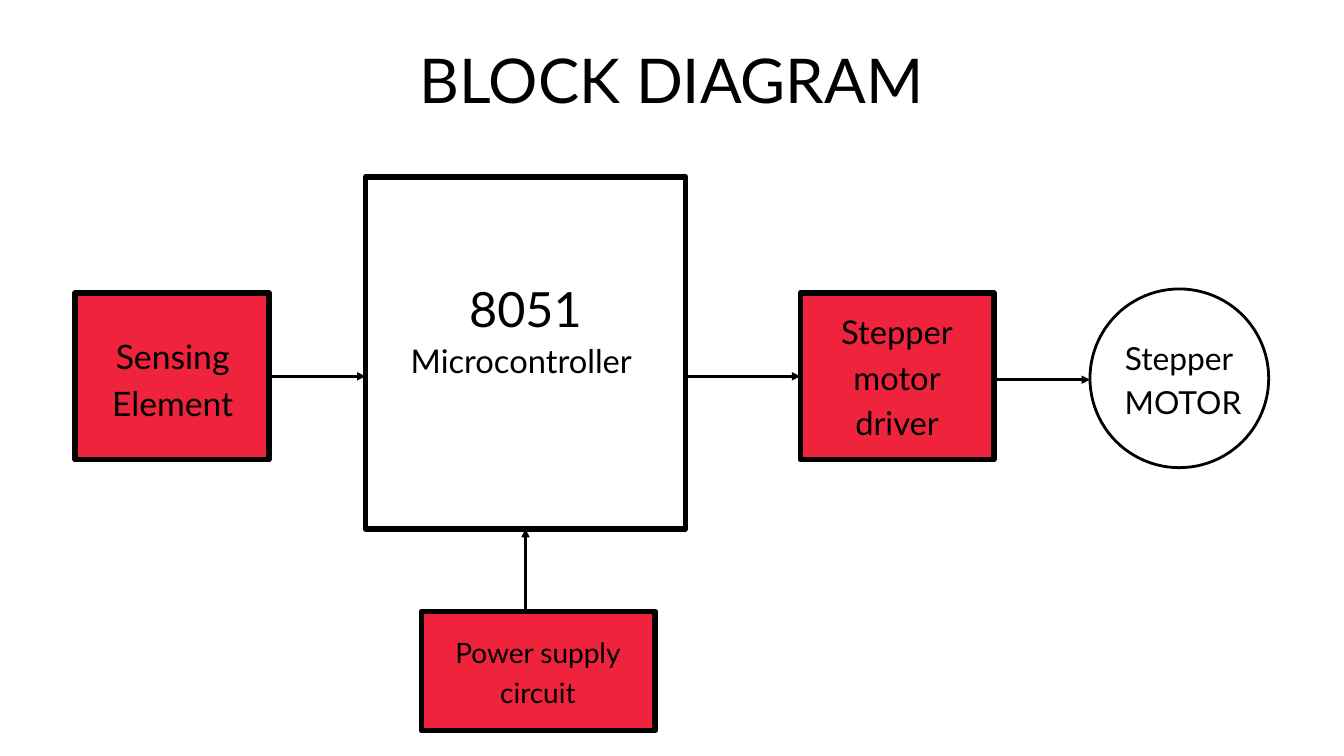
"""Builds the block diagram slide of a stepper motor run by a microcontroller."""
from lxml import etree
from pptx import Presentation
from pptx.dml.color import RGBColor
from pptx.enum import shapes as kinds, text
from pptx.oxml.ns import qn
from pptx.util import Inches, Pt

BLACK = RGBColor(0x00, 0x00, 0x00)
WHITE = RGBColor(0xFF, 0xFF, 0xFF)
RED = RGBColor(0xEF, 0x23, 0x3C)
FONT = "Lato"


def add_block(slide, left, top, width, height, fill,
              kind=kinds.MSO_SHAPE.RECTANGLE, outline=6):
    block = slide.shapes.add_shape(
        kind, Inches(left), Inches(top), Inches(width), Inches(height))
    block.shadow.inherit = False
    block.fill.solid()
    block.fill.fore_color.rgb = fill
    block.line.color.rgb = BLACK
    block.line.width = Pt(outline)
    return block


def add_arrow(slide, start, end, source=None, target=None):
    arrow = slide.shapes.add_connector(
        kinds.MSO_CONNECTOR.STRAIGHT, *map(Inches, start + end))
    if source:
        arrow.begin_connect(*source)
    if target:
        arrow.end_connect(*target)
    arrow.line.color.rgb = BLACK
    arrow.line.width = Pt(3)
    etree.SubElement(arrow.line._get_or_add_ln(), qn("a:tailEnd"), type="triangle")
    etree.SubElement(arrow._element.spPr, qn("a:effectLst"))


def add_label(slide, left, top, width, height, lines, size, spacing):
    frame = slide.shapes.add_textbox(
        Inches(left), Inches(top), Inches(width), Inches(height)).text_frame
    frame.word_wrap = True
    frame.margin_left = frame.margin_right = 0
    frame.margin_top = frame.margin_bottom = 0
    for index, line in enumerate(lines):
        paragraph = frame.paragraphs[0] if index == 0 else frame.add_paragraph()
        paragraph.alignment = text.PP_ALIGN.CENTER
        paragraph.line_spacing = Pt(spacing)
        run = paragraph.add_run()
        run.text = line
        run.font.name = FONT
        run.font.size = Pt(size)
        run.font.color.rgb = BLACK


def main():
    deck = Presentation()
    deck.slide_width, deck.slide_height = Inches(20), Inches(11.25)
    slide = deck.slides.add_slide(deck.slide_layouts[6])

    sensor = add_block(slide, 1.12, 4.36, 2.88, 2.48, RED)
    controller = add_block(slide, 5.44, 2.63, 4.76, 5.24, WHITE)
    driver = add_block(slide, 11.91, 4.36, 2.88, 2.48, RED)
    add_block(slide, 6.27, 9.1, 3.48, 1.77, RED)
    add_block(slide, 16.22, 4.3, 2.66, 2.66, WHITE, kinds.MSO_SHAPE.OVAL, 3)

    add_arrow(slide, (4, 5.6), (5.44, 5.6), source=(sensor, 3))
    add_arrow(slide, (10.2, 5.6), (11.91, 5.6), target=(driver, 1))
    add_arrow(slide, (7.82, 9.1), (7.82, 7.87), target=(controller, 2))
    add_arrow(slide, (14.79, 5.65), (16.22, 5.65))

    add_label(slide, 6.11, 0.44, 7.77, 1.23, ["BLOCK DIAGRAM"], 66.1, 92.5)
    add_label(slide, 1.43, 4.9, 2.28, 1.38, ["Sensing", " Element "], 36.1, 50.5)
    add_label(slide, 6.94, 4, 1.76, 0.97, ["8051"], 52, 72.8)
    add_label(slide, 5.88, 4.97, 3.87, 0.65, ["Microcontroller "], 35, 49)
    add_label(slide, 12.4, 4.54, 1.9, 2.01, ["Stepper", "motor", "driver"], 35, 49)
    add_label(slide, 6.63, 9.38, 2.75, 1.15, ["Power supply", "circuit"], 30, 42)
    add_label(slide, 16.61, 4.94, 1.87, 1.29, ["Stepper", " MOTOR"], 34, 47.6)

    deck.save("out.pptx")


if __name__ == "__main__":
    main()
